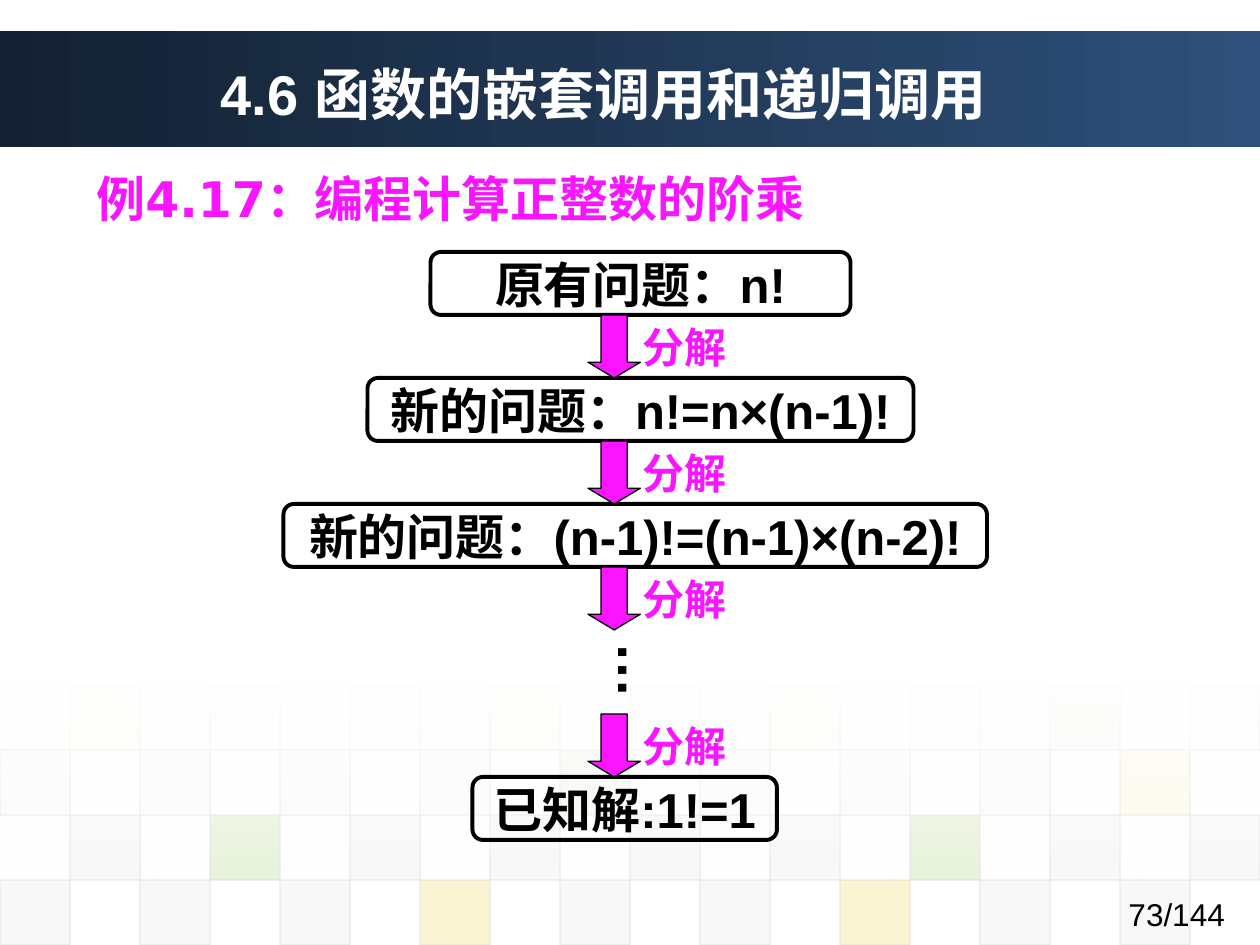
from dataclasses import dataclass

from lxml import etree
from pptx import Presentation
from pptx import util as u
from pptx.dml import color
from pptx.enum import shapes, text
from pptx.oxml import ns

WIDE, HIGH = 10, 7.5
COLS, ROWS = 120, 90
KIND = shapes.MSO_SHAPE
HUES = {
    "navy": "132132", "blue": "2E507A", "pink": "F915FF",
    "black": "000000", "white": "FFFFFF",
    "D": "DDDDDD", "E": "EAEAEA", "G": "8AC246", "Y": "EFC821",
}
TILES = ("YEEYDYEGE", "DDDDGDDDY", "DGDDDDGDD", "DDDYDDYDD")
FADES = (5, 10, 20, 20)
TILE_TOP, TILE_W, TILE_H = 65.25, COLS / 18, 6.19


@dataclass(frozen=True)
class Area:
    col: float
    row: float
    cols: float
    rows: float

    def spots(self) -> list[int]:
        dx, dy = WIDE / COLS, HIGH / ROWS
        return [u.Inches(n) for n in
                (self.col * dx, self.row * dy, self.cols * dx, self.rows * dy)]


@dataclass(frozen=True)
class Step:
    words: str
    col: float
    row: float
    cols: float


@dataclass(frozen=True)
class Note:
    words: str
    area: Area
    size: int
    hue: str = "black"
    font: str = "Arial"
    bold: bool = True
    anchor: text.MSO_ANCHOR = text.MSO_ANCHOR.TOP


STEPS = (
    Step("原有问题：n!", 41, 24, 40),
    Step("新的问题：n!=n×(n-1)!", 35, 36, 52),
    Step("新的问题：(n-1)!=(n-1)×(n-2)!", 27, 48, 67),
    Step("已知解:1!=1", 45, 74, 29),
)
ARROWS = (30, 42, 54, 68)
PAGE = Note("73/144", Area(106.3, 84.7, 13.2, 5.3), 18, bold=False)
TITLE = Note("4.6 函数的嵌套调用和递归调用", Area(19.85, 3.4, 95.5, 11), 32,
             "white", anchor=text.MSO_ANCHOR.MIDDLE)
TASK = Note("例4.17：编程计算正整数的阶乘", Area(8, 15.5, 105, 6.8), 28,
            "pink", "DejaVu Sans")
DOTS = Note("…", Area(56, 60, 8.8, 7), 32)


def tint(name: str) -> color.RGBColor:
    return color.RGBColor.from_string(HUES[name])


def shade(shape, *parts: int) -> None:
    marks = shape._element.spPr.iter(ns.qn("a:srgbClr"))
    for mark, part in zip(marks, parts):
        etree.SubElement(mark, ns.qn("a:alpha")).set("val", str(part * 1000))


def draw(page, kind: KIND, area: Area, fill: str = "", line: str = "",
         width: float = 0.75):
    shape = page.add_shape(kind, *area.spots())
    shape.shadow.inherit = False
    if fill:
        shape.fill.solid()
        shape.fill.fore_color.rgb = tint(fill)
    else:
        shape.fill.background()
    if line:
        shape.line.color.rgb = tint(line)
        shape.line.width = u.Pt(width)
    else:
        shape.line.fill.background()
    return shape


def blend(page, area: Area, first: str, last: str, angle: int):
    shape = draw(page, KIND.RECTANGLE, area)
    shape.fill.gradient()
    shape.fill.gradient_angle = angle
    for stop, name, place in zip(shape.fill.gradient_stops, (first, last), (0, 1)):
        stop.color.rgb = tint(name)
        stop.position = place
    return shape


def style(frame, words: str, size: int, hue: str = "black",
          name: str = "Arial", bold: bool = True) -> None:
    frame.text = words
    font = frame.paragraphs[0].runs[0].font
    font.size, font.name, font.bold = u.Pt(size), name, bold
    font.color.rgb = tint(hue)


def write(page, note: Note):
    box = page.add_textbox(*note.area.spots())
    frame = box.text_frame
    frame.word_wrap = True
    frame.vertical_anchor = note.anchor
    style(frame, note.words, note.size, note.hue, note.font, note.bold)
    return box


def tile(page) -> None:
    for row, (names, fade) in enumerate(zip(TILES, FADES)):
        for pair, name in enumerate(names):
            col = 2 * pair + (row + 1) % 2
            area = Area(col * TILE_W, TILE_TOP + row * TILE_H, TILE_W, TILE_H)
            shade(draw(page, KIND.RECTANGLE, area, name, "D"), fade, 60)


def frame_step(page, step: Step) -> None:
    shape = draw(page, KIND.ROUNDED_RECTANGLE,
                 Area(step.col, step.row, step.cols, 6), line="black", width=2.25)
    frame = shape.text_frame
    frame.word_wrap = False
    frame.vertical_anchor = text.MSO_ANCHOR.MIDDLE
    style(frame, step.words, 28)
    frame.paragraphs[0].alignment = text.PP_ALIGN.CENTER


def split(page, row: float) -> None:
    group = page.add_group_shape().shapes
    arrow = draw(group, KIND.DOWN_ARROW, Area(56, row, 5, 6), "pink", "black")
    arrow.adjustments[0], arrow.adjustments[1] = 0.5, 0.3
    write(group, Note("分解", Area(60, row, 15, 6), 24, "pink"))


def stack(page) -> None:
    box = write(page, DOTS)
    frame = box.text_frame
    frame.margin_left = frame.margin_right = u.Inches(0.05)
    frame.margin_top = frame.margin_bottom = u.Inches(0.1)
    frame._txBody.bodyPr.set("vert", "eaVert")


def main() -> None:
    deck = Presentation()
    deck.slide_width, deck.slide_height = u.Inches(WIDE), u.Inches(HIGH)
    page = deck.slides.add_slide(deck.slide_layouts[6]).shapes
    blend(page, Area(0, 3, COLS, 11), "navy", "blue", 0)
    tile(page)
    shade(blend(page, Area(0, 64.4, COLS, 19.4), "white", "white", 270), 90, 0)
    for note in (PAGE, TITLE, TASK):
        write(page, note)
    for step in STEPS:
        frame_step(page, step)
    for row in ARROWS:
        split(page, row)
    stack(page)
    deck.save("out.pptx")


if __name__ == "__main__":
    main()
